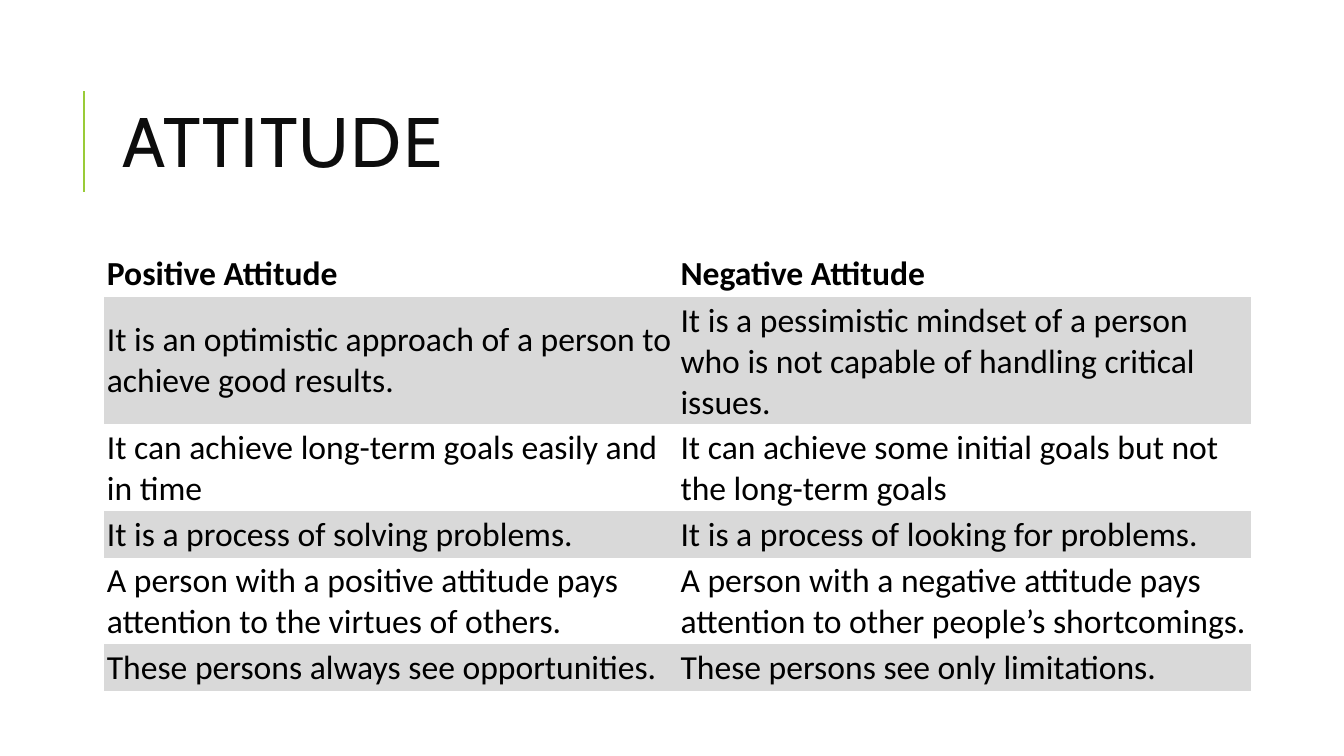
from pptx import Presentation
from pptx.dml.color import RGBColor
from pptx.enum.shapes import MSO_CONNECTOR as Connector
from pptx.enum.text import MSO_ANCHOR as Anchor
from pptx.oxml.ns import qn
from pptx.util import Inches, Pt
from lxml.etree import SubElement

NO_GRID_STYLE = "{2D5ABB26-0587-4C30-8999-92F81FD0307C}"
HEADER = ("Positive Attitude", "Negative Attitude")
CONTRASTS = [
    ("It is an optimistic approach of a person to achieve good results.",
     "It is a pessimistic mindset of a person who is not capable of handling critical issues."),
    ("It can achieve long-term goals easily and in time",
     "It can achieve some initial goals but not the long-term goals"),
    ("It is a process of solving problems.",
     "It is a process of looking for problems."),
    ("A person with a positive attitude pays attention to the virtues of others.",
     "A person with a negative attitude pays attention to other people’s shortcomings."),
    ("These persons always see opportunities.",
     "These persons see only limitations."),
]
ROW_HEIGHTS = (0.23, 0.41, 0.41, 0.23, 0.41, 0.23)


def color(value):
    return RGBColor.from_string(value)


class SlideBuilder:
    title_font, body_font = "Cabin", "Calibri"
    accent, title_ink, ink, band = "99CB38", "0D0D0D", "000000", "D9D9D9"

    def __init__(self, page):
        self.page = page

    def style(self, para, name, size, ink, bold=False):
        font = para.font
        font.name, font.size, font.bold = name, Pt(size), bold
        font.color.rgb = color(ink)

    def rule(self, x, top, bottom):
        line = self.page.shapes.add_connector(
            Connector.STRAIGHT, Inches(x), Inches(bottom), Inches(x), Inches(top))
        line.line.color.rgb = color(self.accent)
        line.line.width = Pt(1.5)
        SubElement(line._element.spPr, qn("a:effectLst"))

    def title(self, text, left, top, width, height):
        box = self.page.shapes.add_textbox(
            Inches(left), Inches(top), Inches(width), Inches(height))
        frame = box.text_frame
        frame.word_wrap = True
        frame.vertical_anchor = Anchor.MIDDLE
        para = frame.paragraphs[0]
        para.line_spacing = 0.8
        span = para.add_run()
        span.text = text
        self.style(para, self.title_font, 50, self.title_ink)
        span.font._element.set("spc", "100")  # letter spacing of 1 pt

    def table(self, rows, heights, left, top, width, height):
        frame = self.page.shapes.add_table(
            len(rows), len(rows[0]), Inches(left), Inches(top), Inches(width), Inches(height))
        table = frame.table
        table.horz_banding = False
        table._tbl.tblPr.find(qn("a:tableStyleId")).text = NO_GRID_STYLE
        for index, (texts, row_height) in enumerate(zip(rows, heights)):
            table.rows[index].height = Inches(row_height)
            for cell, text in zip(table.rows[index].cells, texts):
                self.cell(cell, text, index)
        frame.height = Inches(height)

    def cell(self, cell, text, row):
        cell.text = text
        cell.vertical_anchor = Anchor.MIDDLE
        cell.margin_left = cell.margin_right = Inches(0.03)
        cell.margin_top = cell.margin_bottom = Inches(0.03)
        if row % 2:
            cell.fill.solid()
            cell.fill.fore_color.rgb = color(self.band)
        else:
            cell.fill.background()
        self.style(cell.text_frame.paragraphs[0], self.body_font, 24, self.ink, bold=row == 0)


def main():
    deck = Presentation()
    deck.slide_width, deck.slide_height = Inches(13.33), Inches(7.5)
    slide = SlideBuilder(deck.slides.add_slide(deck.slide_layouts[6]))

    # Heading
    slide.rule(0.83, 0.9, 1.9)
    slide.title("ATTITUDE", 1.12, 0.64, 10.63, 1.64)

    # Comparison
    slide.table([HEADER, *CONTRASTS], ROW_HEIGHTS, 1.03, 2.49, 11.38, 3.96)

    deck.save("out.pptx")


if __name__ == "__main__":
    main()
